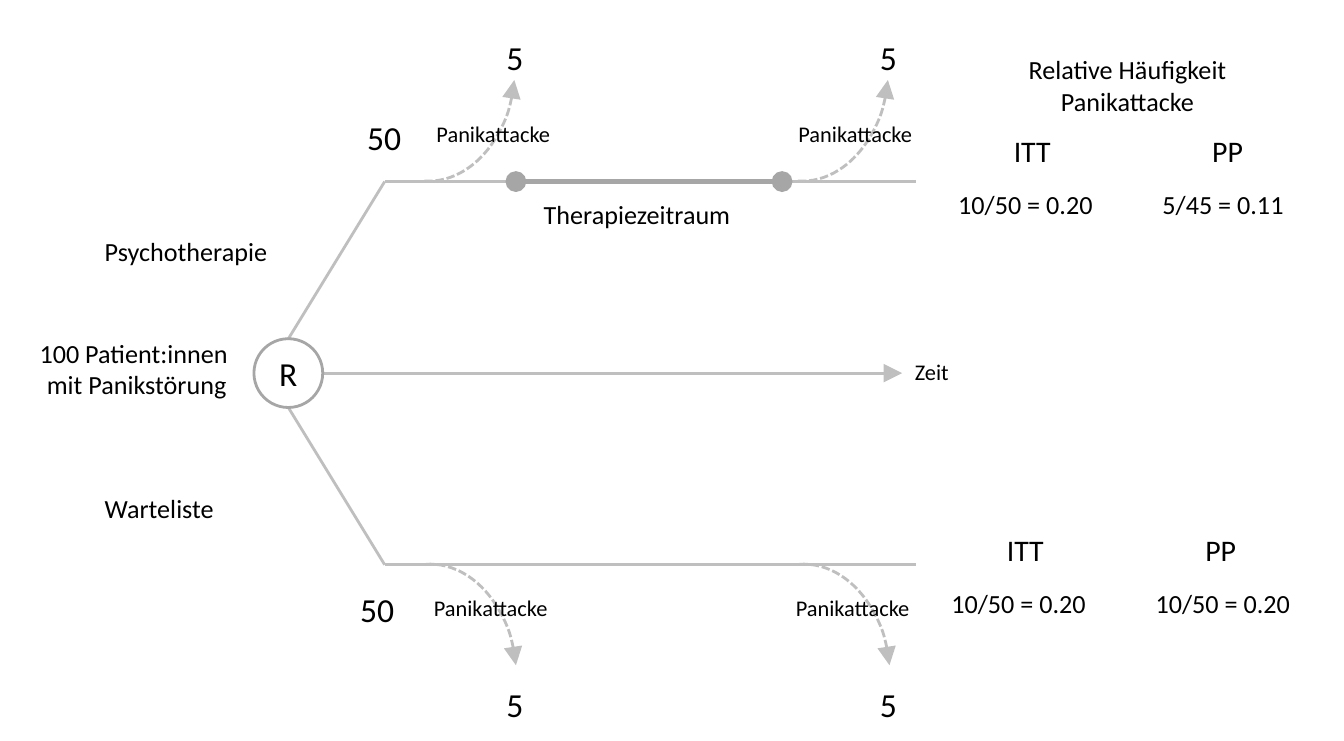
from lxml import etree
from pptx import Presentation
from pptx import util as u
from pptx.dml.color import RGBColor
from pptx.enum import dml, shapes, text
from pptx.oxml.ns import qn

COLORS = {"text": "000000", "branch": "BFBFBF", "accent": "A6A6A6", "node": "FFFFFF"}


class TrialDiagram:
    font = "Calibri"
    line_width = 1.5

    def __init__(self, slide):
        self.slide = slide

    def color(self, name):
        return RGBColor.from_string(COLORS[name])

    def style_line(self, shape, color="branch", width=None, head=None, tail=None):
        shape.line.color.rgb = self.color(color)
        shape.line.width = u.Pt(width or self.line_width)
        outline = shape.line._get_or_add_ln()
        for tag, kind in (("a:headEnd", head), ("a:tailEnd", tail)):
            if kind:
                etree.SubElement(outline, qn(tag), type=kind, w="lg", len="lg")

    def style_text(self, frame, content, size, align):
        frame.text = content
        for paragraph in frame.paragraphs:
            paragraph.alignment = align
            paragraph.font.name = self.font
            paragraph.font.size = u.Pt(size)
            paragraph.font.color.rgb = self.color("text")

    def label(self, content, left, top, width, height, size, centered=False):
        box = self.slide.shapes.add_textbox(u.Cm(left), u.Cm(top), u.Cm(width), u.Cm(height))
        frame = box.text_frame
        frame.word_wrap = False
        frame.auto_size = text.MSO_AUTO_SIZE.SHAPE_TO_FIT_TEXT
        align = text.PP_ALIGN.CENTER if centered else text.PP_ALIGN.LEFT
        self.style_text(frame, content, size, align)

    def line(self, x1, y1, x2, y2, **style):
        connector = self.slide.shapes.add_connector(
            shapes.MSO_CONNECTOR.STRAIGHT, u.Cm(x1), u.Cm(y1), u.Cm(x2), u.Cm(y2))
        self.style_line(connector, **style)
        etree.SubElement(connector._element.spPr, qn("a:effectLst"))

    def dropout_arc(self, left, top, downward):
        """Dashed quarter arc that leaves an arm and ends in an arrowhead."""
        arc = self.slide.shapes.add_shape(
            shapes.MSO_SHAPE.ARC, u.Cm(left), u.Cm(top), u.Cm(4.11), u.Cm(3.1))
        arc.shadow.inherit = False
        arc.adjustments[0] = 162.27
        arc.adjustments[1] = 0
        arc.rotation = 265.2 if downward else 94.8
        if downward:
            arc._element.spPr.get_or_add_xfrm().set("flipV", "1")
        arc.fill.background()
        arc.line.dash_style = dml.MSO_LINE.SQUARE_DOT
        self.style_line(arc, head="triangle")

    def node(self, content, left, top, diameter):
        circle = self.slide.shapes.add_shape(
            shapes.MSO_SHAPE.OVAL, u.Cm(left), u.Cm(top), u.Cm(diameter), u.Cm(diameter))
        circle.shadow.inherit = False
        circle.fill.solid()
        circle.fill.fore_color.rgb = self.color("node")
        self.style_line(circle, color="accent")
        circle.text_frame.vertical_anchor = text.MSO_ANCHOR.MIDDLE
        self.style_text(circle.text_frame, content, 18, text.PP_ALIGN.CENTER)


def main():
    prs = Presentation()
    prs.slide_width, prs.slide_height = u.Cm(25.4), u.Cm(14)
    diagram = TrialDiagram(prs.slides.add_slide(prs.slide_layouts[6]))

    node_left, node_top, node_size = 4.8, 6.4, 1.3
    node_x, node_y = node_left + node_size / 2, node_top + node_size / 2
    arm_start, arm_end = 7.27, 17.32
    therapy_y, waitlist_y = 3.43, 10.67
    event_step = 7.06

    # Randomisation, time axis and the two arms
    diagram.line(node_left + node_size, node_y, 17.05, node_y, tail="triangle")
    for arm_y, node_edge in ((therapy_y, node_top), (waitlist_y, node_top + node_size)):
        diagram.line(node_x, node_edge, arm_start, arm_y)
        diagram.line(arm_start, arm_y, arm_end, arm_y)
    diagram.node("R", node_left, node_top, node_size)
    diagram.line(9.75, therapy_y, 14.78, therapy_y,
                 color="accent", width=2.25, head="oval", tail="oval")

    # Two panic attacks per arm
    for arc_left, arc_top, count_top, attack_left, attack_top, downward in (
            (6.12, -0.18, 0.58, 8.0, 2.15, False),
            (6.15, 11.16, 12.8, 7.95, 11.1, True)):
        for event in range(2):
            shift = event * event_step
            diagram.dropout_arc(arc_left + shift, arc_top, downward)
            diagram.label("5", 9.3 + shift, count_top, 0.86, 1.02, 18, centered=True)
            diagram.label("Panikattacke", attack_left + event * 6.84, attack_top, 2.9, 0.76, 12)

    # Relative frequencies per arm
    for left, top, value_gap, pp_left, pp_width, pp_value in (
            (17.86, 2.39, 1.04, 21.72, 3.15, "5/45 = 0.11"),
            (17.73, 9.93, 1.04, 21.59, 3.4, "10/50 = 0.20")):
        diagram.label("ITT", left + 1.05, top, 1.5, 0.94, 16)
        diagram.label("PP", left + 4.8, top, 1.27, 0.94, 16)
        diagram.label("10/50 = 0.20", left, top + value_gap, 3.4, 0.86, 14)
        diagram.label(pp_value, pp_left, top + value_gap, pp_width, 0.86, 14)

    for content, left, top, width, height, size, centered in (
            ("100 Patient:innen \nmit Panikstörung", 0.36, 6.25, 4.45, 1.45, 14, True),
            ("50", 6.66, 2.08, 1.2, 1.02, 18, True),
            ("50", 6.53, 11.0, 1.2, 1.02, 18, True),
            ("Therapiezeitraum", 9.93, 3.63, 4.22, 0.86, 14, True),
            ("Psychotherapie", 1.73, 4.32, 3.7, 0.86, 14, False),
            ("Warteliste", 1.73, 9.17, 2.67, 0.86, 14, False),
            ("Relative Häufigkeit\nPanikattacke", 19.05, 0.89, 4.52, 1.45, 14, True),
            ("Zeit", 17.04, 6.65, 1.24, 0.76, 12, False)):
        diagram.label(content, left, top, width, height, size, centered)

    prs.save("out.pptx")


if __name__ == "__main__":
    main()
